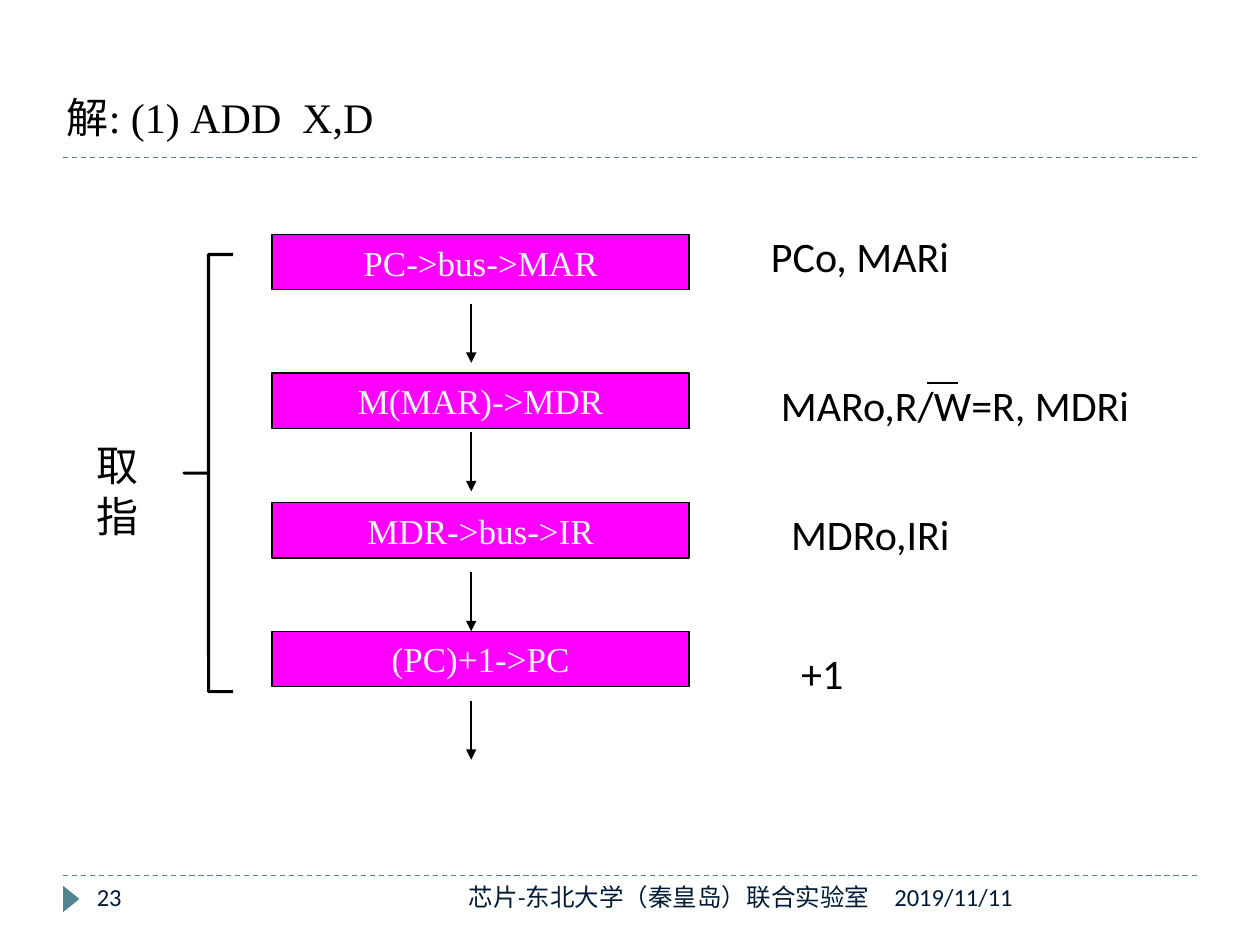
import pptx
import pptx.util
import pptx.dml.color
import pptx.enum.dml
import pptx.enum.shapes
import pptx.enum.text
import pptx.oxml.ns
from lxml import etree
from pptx.util import Inches

SHAPE = pptx.enum.shapes.MSO_SHAPE
ALIGN = pptx.enum.text.PP_ALIGN
ANCHOR = pptx.enum.text.MSO_ANCHOR
SERIF, SANS = "Times New Roman", "Calibri"
BLACK, TEAL, NAVY = "000000", "51848E", "001B36"
MAGENTA, PALE = "FF00FF", "EDF8FE"

TITLE = "解: (1) ADD  X,D"
# step, top of its box, top of the arrow below it
STEPS = [
    ("PC->bus->MAR", 1.86, 2.41),
    ("M(MAR)->MDR", 2.96, 3.43),
    ("MDR->bus->IR", 3.99, 4.54),
    ("(PC)+1->PC", 5.01, 5.56),
]
# control signals, left, top, width
SIGNALS = [
    ("PCo, MARi", 6.02, 1.78, 2.28),
    ("MARo,R/W=R, MDRi", 6.1, 2.96, 3.23),
    ("MDRo,IRi", 6.18, 3.99, 2.28),
    ("+1", 6.26, 5.09, 2.28),
]
PHASE = ("取指", 0.67, 3.44, 0.71, 0.9)
# text, left, width, alignment
FOOTER = [
    ("23", 0.67, 2.17, ALIGN.LEFT),
    ("芯片-东北大学（秦皇岛）联合实验室", 3.17, 3.83, ALIGN.RIGHT),
    ("2019/11/11", 7, 2.5, ALIGN.LEFT),
]
RULES = [1.25, 6.95]
STEP_LEFT, STEP_WIDTH, STEP_HEIGHT = 2.16, 3.31, 0.44
ARROW_X, ARROW_LENGTH = 3.74, 0.47


def rgb(code):
    return pptx.dml.color.RGBColor.from_string(code)


def write(shape, text, size, font, color, align=ALIGN.LEFT, anchor=ANCHOR.TOP):
    frame = shape.text_frame
    frame.text = text
    frame.word_wrap = True
    frame.auto_size = pptx.enum.text.MSO_AUTO_SIZE.NONE
    frame.vertical_anchor = anchor
    para = frame.paragraphs[0]
    para.alignment = align
    para.font.size = pptx.util.Pt(size)
    para.font.name = font
    para.font.color.rgb = rgb(color)


def add_text(left, top, width, height, *style):
    box = page.shapes.add_textbox(
        Inches(left), Inches(top), Inches(width), Inches(height))
    write(box, *style)


def add_shape(kind, left, top, width, height, fill=None, line=None, weight=0.75):
    shape = page.shapes.add_shape(
        kind, Inches(left), Inches(top), Inches(width), Inches(height))
    shape.shadow.inherit = False
    if fill:
        shape.fill.solid()
        shape.fill.fore_color.rgb = rgb(fill)
    else:
        shape.fill.background()
    if line:
        shape.line.color.rgb = rgb(line)
        shape.line.width = pptx.util.Pt(weight)
    else:
        shape.line.fill.background()
    return shape


def add_line(x1, y1, x2, y2, color, weight, dashed=False, arrow=False):
    line = page.shapes.add_connector(
        pptx.enum.shapes.MSO_CONNECTOR.STRAIGHT,
        Inches(x1), Inches(y1), Inches(x2), Inches(y2))
    line.line.color.rgb = rgb(color)
    line.line.width = pptx.util.Pt(weight)
    if dashed:
        line.line.dash_style = pptx.enum.dml.MSO_LINE.DASH
    if arrow:
        etree.SubElement(line.line._get_or_add_ln(),
                         pptx.oxml.ns.qn("a:tailEnd"), type="triangle")
    etree.SubElement(line._element.spPr, pptx.oxml.ns.qn("a:effectLst"))


deck = pptx.Presentation()
deck.slide_width, deck.slide_height = Inches(10), Inches(7.5)
page = deck.slides.add_slide(deck.slide_layouts.get_by_name("Title Only"))

title = page.shapes.title
title.left, title.top = Inches(0.43), Inches(0.68)
title.width, title.height = Inches(9.14), Inches(0.5)
write(title, TITLE, 24, SERIF, BLACK)

for y in RULES:
    add_line(0.5, y, 9.5, y, TEAL, 0.75, dashed=True)
marker = add_shape(SHAPE.ISOSCELES_TRIANGLE, 0.46, 7.07, 0.21, 0.13, TEAL)
marker.rotation = 90

for step, top, arrow_top in STEPS:
    box = add_shape(SHAPE.RECTANGLE, STEP_LEFT, top, STEP_WIDTH, STEP_HEIGHT,
                    MAGENTA, BLACK)
    write(box, step, 20, SERIF, PALE, ALIGN.CENTER, ANCHOR.MIDDLE)
    add_line(ARROW_X, arrow_top, ARROW_X, arrow_top + ARROW_LENGTH,
             BLACK, 1.25, arrow=True)

brace = add_shape(SHAPE.LEFT_BRACE, 1.46, 2.02, 0.39, 3.47,
                  line=BLACK, weight=1.75)
brace.adjustments[0] = 0
brace.adjustments[1] = 0.5
phase, *phase_place = PHASE
add_text(*phase_place, phase, 24, SANS, BLACK)

for signal, left, top, width in SIGNALS:
    add_text(left, top, width, 0.5, signal, 24, SANS, BLACK)
add_line(7.36, 3.04, 7.6, 3.04, BLACK, 0.75)  # bar over W

for text, left, width, align in FOOTER:
    add_text(left, 6.95, width, 0.4, text, 14, SANS, NAVY, align)

deck.save("out.pptx")
